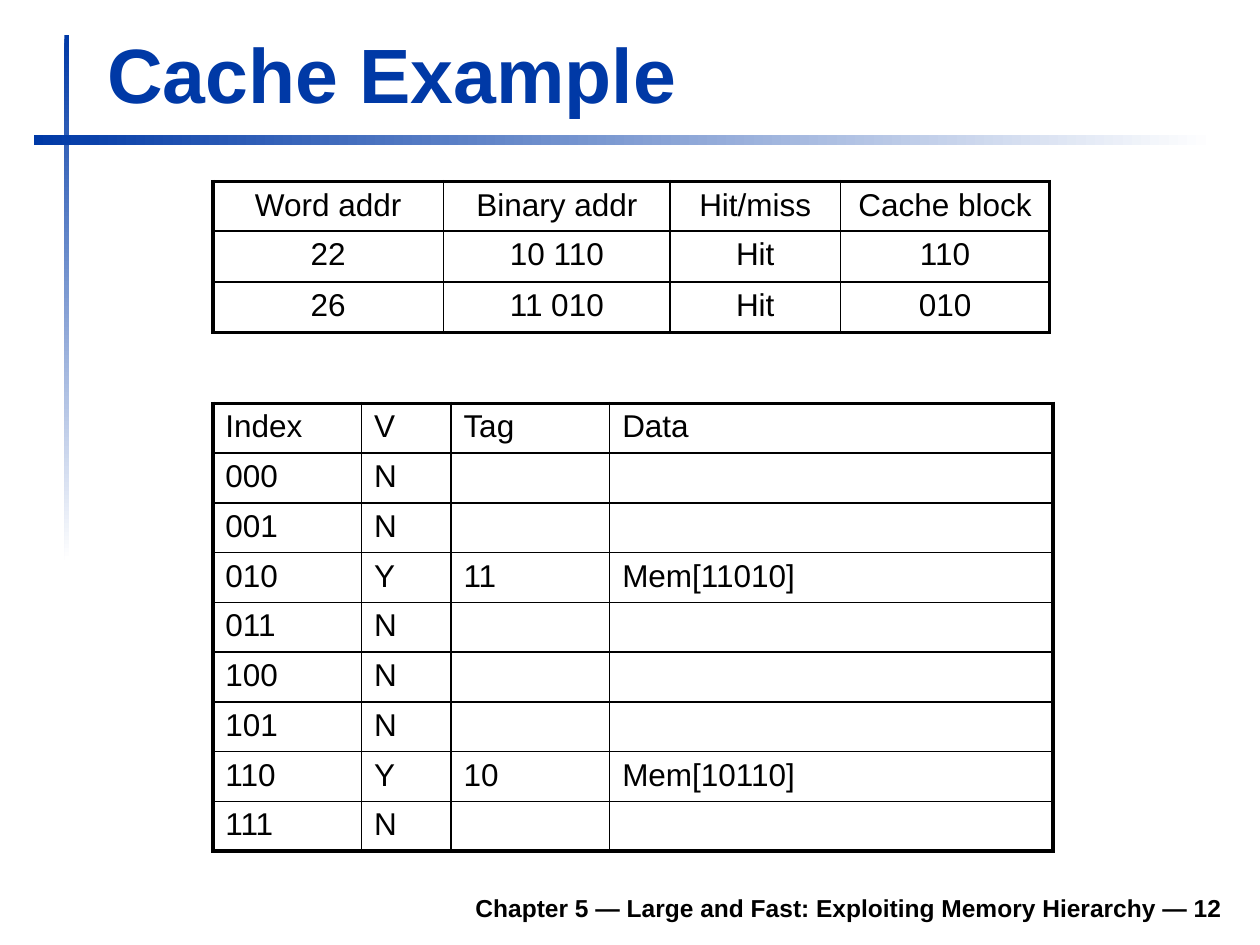
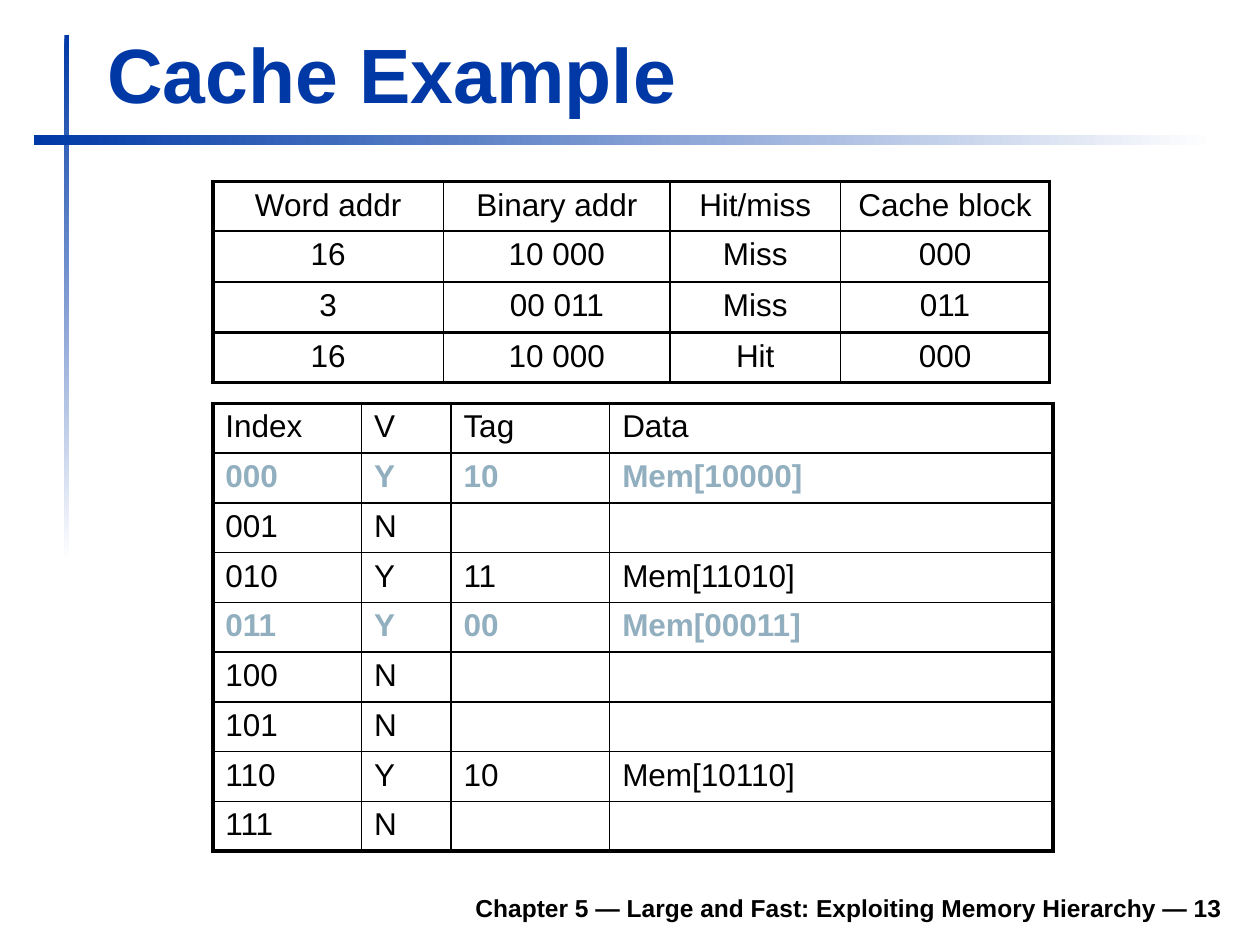
import pptx
import pptx.util
import pptx.dml.color
import pptx.enum.shapes
import pptx.enum.text
import pptx.oxml.ns
import lxml.etree

Cm = pptx.util.Cm
Pt = pptx.util.Pt
Align = pptx.enum.text.PP_ALIGN

HUES = {"blue": "0039A6", "white": "FFFFFF", "black": "000000", "new": "91AFBF"}
FONT = "Arial"
THICK, MID, THIN = 2.25, 1.5, 1

# Boxes in cm: left, top, width, height
SIDE = (1.3, 0.71, 0.1, 10.59)
BAND = (0.69, 2.72, 23.8, 0.2)
TITLE = (1.91, 0.41, 22.94, 2.11)
FOOT = (4.7, 17.73, 20.19, 0.99)

# Tables in cm: left, top, column widths
LOG = (4.29, 3.66, (4.65, 4.57, 3.43, 4.22))
CACHE = (4.29, 8.13, (3, 1.8, 3.2, 8.94))
ROW, TALL = 0.97, 1.02

LOG_HEAD = ("Word addr", "Binary addr", "Hit/miss", "Cache block")
CACHE_HEAD = ("Index", "V", "Tag", "Data")

# Per slide: number, accesses, filled blocks (index: tag), new blocks
PAGES = (
    (12,
     (("22", "10 110", "Hit", "110"), ("26", "11 010", "Hit", "010")),
     {"010": "11", "110": "10"}, ()),
    (13,
     (("16", "10 000", "Miss", "000"), ("3", "00 011", "Miss", "011"),
      ("16", "10 000", "Hit", "000")),
     {"000": "10", "010": "11", "011": "00", "110": "10"}, ("000", "011")),
)


def rgb(hue):
    return pptx.dml.color.RGBColor.from_string(HUES[hue])


def write(frame, text, size, hue="black", bold=False, align=Align.LEFT):
    para = frame.paragraphs[0]
    para.alignment = align
    run = para.add_run()
    run.text = text
    run.font.name = FONT
    run.font.size = Pt(size)
    run.font.bold = bold
    run.font.color.rgb = rgb(hue)


def add_bar(slide, box, angle):
    """Bar that fades from blue to white."""
    bar = slide.shapes.add_shape(
        pptx.enum.shapes.MSO_SHAPE.RECTANGLE, *map(Cm, box))
    bar.shadow.inherit = False
    bar.line.fill.background()
    bar.fill.gradient()
    bar.fill.gradient_angle = angle
    for stop, hue in zip(bar.fill.gradient_stops, ("blue", "white")):
        stop.color.rgb = rgb(hue)


def add_text(slide, box, text, size, hue, align):
    frame = slide.shapes.add_textbox(*map(Cm, box)).text_frame
    frame.word_wrap = True
    frame.vertical_anchor = pptx.enum.text.MSO_ANCHOR.BOTTOM
    write(frame, text, size, hue, True, align)


def add_frame(slide, number):
    """Bars, title and footer shared by all slides."""
    add_bar(slide, SIDE, 270)
    add_bar(slide, BAND, 0)
    add_text(slide, FOOT,
             f"Chapter 5 — Large and Fast: Exploiting Memory Hierarchy — {number}",
             14, "black", Align.RIGHT)
    add_text(slide, TITLE, "Cache Example", 44, "blue", Align.LEFT)


def add_edge(cell, side, width):
    qn = pptx.oxml.ns.qn
    edge = lxml.etree.SubElement(
        cell._tc.get_or_add_tcPr(), qn("a:ln" + side), w=str(Pt(width)))
    fill = lxml.etree.SubElement(edge, qn("a:solidFill"))
    lxml.etree.SubElement(fill, qn("a:srgbClr"), val=HUES["black"])


def add_grid(slide, place, rows, highs, rule, align, fresh=()):
    """Table with a thick outline; rule is the line width between body rows."""
    left, top, wides = place
    table = slide.shapes.add_table(
        len(rows), len(wides), Cm(left), Cm(top),
        Cm(sum(wides)), Cm(sum(highs))).table
    table.first_row = table.horz_banding = False
    for col, wide in zip(table.columns, wides):
        col.width = Cm(wide)
    # Horizontal and vertical line widths, from edge to edge
    across = [THICK, MID] + [rule] * (len(rows) - 2) + [THICK]
    down = [THICK] + [THIN] * (len(wides) - 1) + [THICK]
    for r, row in enumerate(rows):
        table.rows[r].height = Cm(highs[r])
        new = row[0] in fresh
        for c, text in enumerate(row):
            cell = table.cell(r, c)
            cell.margin_top = cell.margin_bottom = Cm(0.12)
            for side, width in zip(
                    "LRTB", (down[c], down[c + 1], across[r], across[r + 1])):
                add_edge(cell, side, width)
            cell.fill.background()
            if text:
                write(cell.text_frame, text, 18,
                      "new" if new else "black", new, align)


def add_log(slide, hits):
    """Table of memory accesses."""
    highs = [ROW, TALL, TALL, ROW][:len(hits) + 1]
    add_grid(slide, LOG, (LOG_HEAD,) + hits, highs, MID, Align.CENTER)


def add_cache(slide, tags, fresh):
    """Table of the eight cache blocks."""
    rows = [CACHE_HEAD]
    for n in range(8):
        index = f"{n:03b}"
        tag = tags.get(index)
        rows.append((index, "Y", tag, f"Mem[{tag}{index}]") if tag
                    else (index, "N", "", ""))
    add_grid(slide, CACHE, rows, [ROW] * len(rows), THIN, Align.LEFT, fresh)


def main():
    deck = pptx.Presentation()
    deck.slide_width, deck.slide_height = Cm(25.4), Cm(19.05)
    for number, hits, tags, fresh in PAGES:
        slide = deck.slides.add_slide(deck.slide_layouts[6])
        add_frame(slide, number)
        add_cache(slide, tags, fresh)
        add_log(slide, hits)
    deck.save("out.pptx")


if __name__ == "__main__":
    main()
